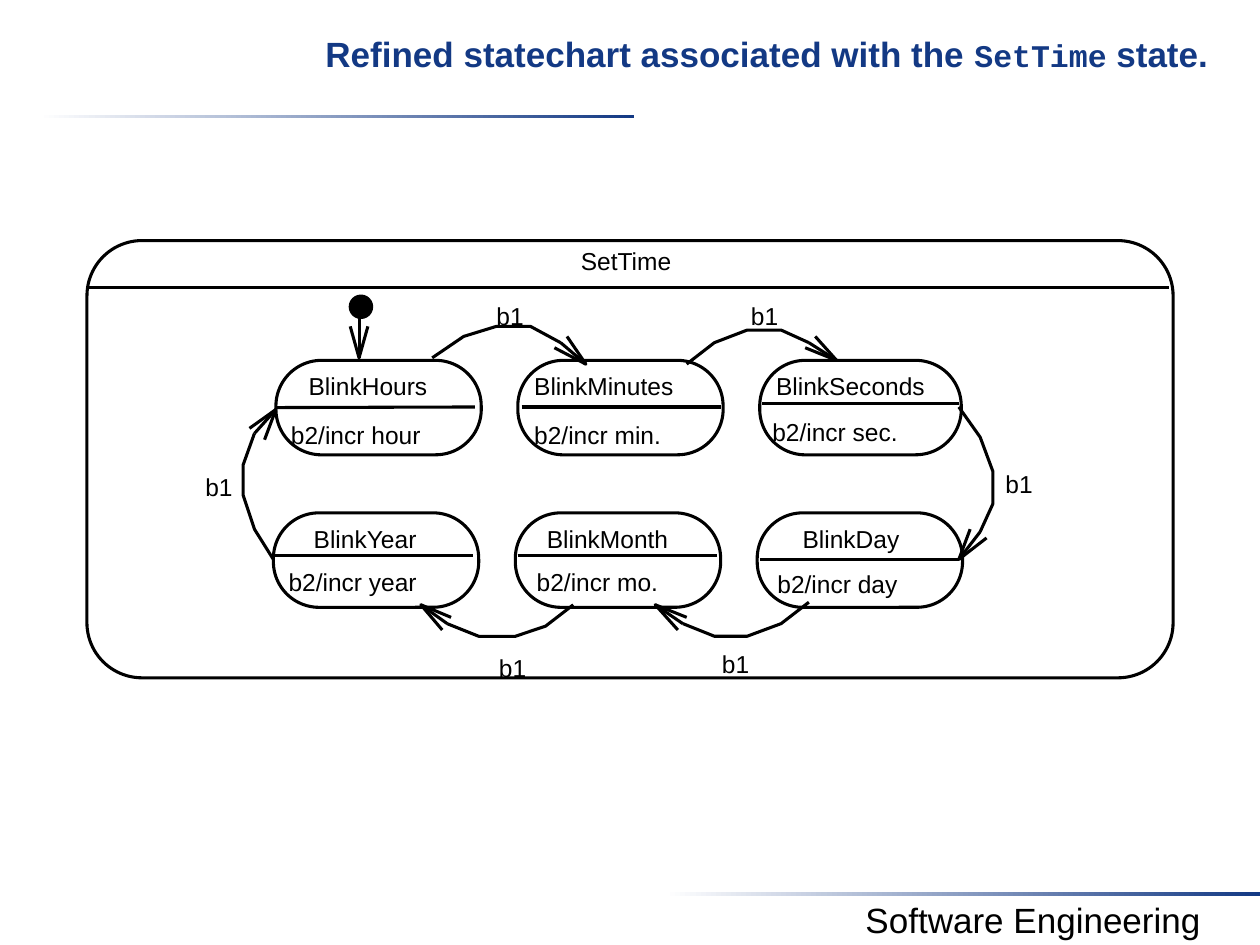
from dataclasses import dataclass

from lxml.etree import SubElement
from pptx import Presentation
from pptx.dml.color import RGBColor
from pptx.enum.shapes import MSO_CONNECTOR as Conn, MSO_SHAPE as Geo
from pptx.enum.text import MSO_ANCHOR as Anchor, PP_ALIGN as Align
from pptx.oxml.ns import qn
from pptx.util import Inches, Pt

BLACK = RGBColor(0x00, 0x00, 0x00)
WHITE = RGBColor(0xFF, 0xFF, 0xFF)
NAVY = RGBColor(0x13, 0x39, 0x84)
FONT, MONO = "Arial", "Courier New"
CELL = Inches(1)  # the slide is a grid of 10 columns by 7.5 rows
LINE = Pt(1.75)
LEFT, TOP = 2.19, 2.86  # first state
STEP, DROP, SKEW = 1.92, 1.21, 0.02  # pitch of states, shift of lower row
HIGH = 0.75

Point = tuple[float, float]


@dataclass(frozen=True)
class State:
    name: str
    action: str
    col: int
    row: int
    name_x: float
    act: Point
    rule: Point
    wide: float = 1.63
    span: float = 1.58


@dataclass(frozen=True)
class Arrow:
    curve: tuple[Point, ...]
    head: tuple[Point, Point, Point]
    label: Point | None = None


STATES = (
    State("BlinkHours", "b2/incr hour", 0, 0, 2.45, (2.31, 3.33), (2.19, 3.23)),
    State("BlinkMinutes", "b2/incr min.", 1, 0, 4.24, (4.24, 3.33), (4.14, 3.23)),
    State("BlinkSeconds", "b2/incr sec.", 2, 0, 6.16, (6.13, 3.31), (6.05, 3.2),
          1.6, 1.56),
    State("BlinkYear", "b2/incr year", 0, 1, 2.49, (2.29, 4.5), (2.17, 4.41)),
    State("BlinkMonth", "b2/incr mo.", 1, 1, 4.34, (4.26, 4.5), (4.11, 4.41)),
    State("BlinkDay", "b2/incr day", 2, 1, 6.37, (6.17, 4.52), (6.03, 4.44)),
)

ARROWS = (
    Arrow(((3.43, 2.84), (3.68, 2.67), (3.94, 2.59), (4.21, 2.59), (4.45, 2.72)),
          ((4.5, 2.67), (4.65, 2.89), (4.4, 2.76)), (3.94, 2.39)),
    Arrow(((5.45, 2.89), (5.67, 2.72), (5.93, 2.62), (6.2, 2.62), (6.42, 2.72)),
          ((6.47, 2.67), (6.64, 2.86), (6.39, 2.76)), (5.96, 2.39)),
    Arrow(((7.61, 3.23), (7.78, 3.47), (7.88, 3.74), (7.88, 4), (7.78, 4.22)),
          ((7.83, 4.27), (7.61, 4.44), (7.7, 4.2)), (7.98, 3.72)),
    Arrow(((6.42, 4.78), (6.2, 4.95), (5.93, 5.05), (5.67, 5.05), (5.42, 4.95)),
          ((5.38, 5), (5.2, 4.8), (5.45, 4.9)), (5.73, 5.15)),
    Arrow(((4.55, 4.8), (4.33, 4.97), (4.09, 5.05), (3.8, 5.05), (3.55, 4.95)),
          ((3.51, 5), (3.34, 4.8), (3.58, 4.9)), (3.96, 5.18)),
    Arrow(((2.17, 4.44), (2.02, 4.2), (1.93, 3.93), (1.93, 3.69), (2.02, 3.44)),
          ((1.98, 3.4), (2.19, 3.25), (2.1, 3.49)), (1.63, 3.75)),
    Arrow(((2.85, 2.45), (2.85, 2.59)),
          ((2.92, 2.59), (2.85, 2.84), (2.78, 2.59))),
)


def grid(*cells: float) -> list[int]:
    return [round(c * CELL) for c in cells]


def add_run(para, text: str, size: float, color=BLACK, font=FONT, bold=False):
    run = para.add_run()
    run.text = text
    run.font.size, run.font.name, run.font.bold = Pt(size), font, bold
    run.font.color.rgb = color


def add_text(slide, text: str, x: float, y: float, wide: float):
    frame = slide.shapes.add_textbox(*grid(x, y, wide, 0.23)).text_frame
    frame.margin_left = frame.margin_right = 0
    frame.margin_top = frame.margin_bottom = 0
    frame.word_wrap = True
    para = frame.paragraphs[0]
    para.alignment = Align.LEFT
    add_run(para, text, 14)


def outline(shape):
    shape.shadow.inherit = False
    shape.fill.background()
    shape.line.color.rgb, shape.line.width = BLACK, LINE


def add_round(slide, x: float, y: float, wide: float, high: float, bend: float):
    shape = slide.shapes.add_shape(Geo.ROUNDED_RECTANGLE, *grid(x, y, wide, high))
    shape.adjustments[0] = bend
    outline(shape)
    return shape


def add_line(slide, start: Point, end: Point):
    line = slide.shapes.add_connector(Conn.STRAIGHT, *grid(*start, *end))
    line.line.color.rgb, line.line.width = BLACK, LINE
    SubElement(line._element.spPr, qn("a:effectLst"))
    return line


def add_path(slide, points: tuple[Point, ...]):
    """Draw an open path; two points make a plain line."""
    if len(points) == 2:
        add_line(slide, *points)
        return
    pen = slide.shapes.build_freeform(*grid(*points[0]))
    pen.add_line_segments([grid(*p) for p in points[1:]], close=False)
    outline(pen.convert_to_shape())


def add_state(slide, state: State):
    x = LEFT + STEP * state.col - SKEW * state.row
    y = TOP + DROP * state.row
    body = add_round(slide, x, y, state.wide, HIGH, 0.483)
    add_text(slide, state.name, state.name_x, y + 0.085, 1.4)
    add_text(slide, state.action, *state.act, 1.4)
    rx, ry = state.rule
    rule = add_line(slide, state.rule, (rx + state.span, ry))
    if abs(rx - x) < 0.01 and abs(ry - y - HIGH / 2) < 0.01:
        rule.begin_connect(body, 1)


def add_arrow(slide, arrow: Arrow):
    add_path(slide, arrow.curve)
    add_line(slide, arrow.curve[-1], arrow.head[1])
    add_path(slide, arrow.head)
    if arrow.label:
        add_text(slide, "b1", *arrow.label, 0.23)


def add_band(slide, x: float, y: float):
    """Draw a thin bar that fades in from the left."""
    band = slide.shapes.add_shape(Geo.RECTANGLE, *grid(x, y, 4.72, 0.03))
    band.shadow.inherit = False
    band.line.fill.background()
    band.fill.gradient()
    band.fill.gradient_angle = 0
    for stop, color in zip(band.fill.gradient_stops, (WHITE, NAVY)):
        stop.color.rgb = color


def add_title(slide):
    title = slide.shapes.title
    title.left, title.top, title.width, title.height = grid(2.17, 0.2, 7.83, 0.75)
    frame = title.text_frame
    frame.margin_left = frame.margin_right = Inches(0.1)
    frame.margin_top, frame.margin_bottom = Inches(0.06), Inches(0.05)
    frame.vertical_anchor, frame.word_wrap = Anchor.TOP, True
    para = frame.paragraphs[0]
    para.alignment = Align.CENTER
    add_run(para, "Refined statechart associated with the ", 20, NAVY, bold=True)
    add_run(para, "SetTime", 18, NAVY, MONO, True)
    add_run(para, " state.", 20, NAVY, bold=True)


def add_footer(slide):
    frame = slide.shapes.add_textbox(*grid(6.4, 7.08, 3.6, 0.44)).text_frame
    frame.word_wrap = True
    para = frame.paragraphs[0]
    para.alignment = Align.CENTER
    add_run(para, "Software Engineering", 20)


def main():
    deck = Presentation()
    deck.slide_width, deck.slide_height = grid(10, 7.5)
    slide = deck.slides.add_slide(deck.slide_layouts[5])
    add_title(slide)
    add_band(slide, 0.31, 0.91)
    add_band(slide, 5.28, 7.08)
    add_footer(slide)
    add_round(slide, 0.69, 1.91, 8.62, 3.47, 0.126)
    add_text(slide, "SetTime", 4.61, 1.95, 0.81)
    add_line(slide, (0.69, 2.28), (9.28, 2.28))
    for state in STATES:
        add_state(slide, state)
    for arrow in ARROWS:
        add_arrow(slide, arrow)
    dot = slide.shapes.add_shape(Geo.OVAL, *grid(2.78, 2.35, 0.17, 0.17))
    outline(dot)
    dot.fill.solid()
    dot.fill.fore_color.rgb = BLACK
    deck.save("out.pptx")


if __name__ == "__main__":
    main()
